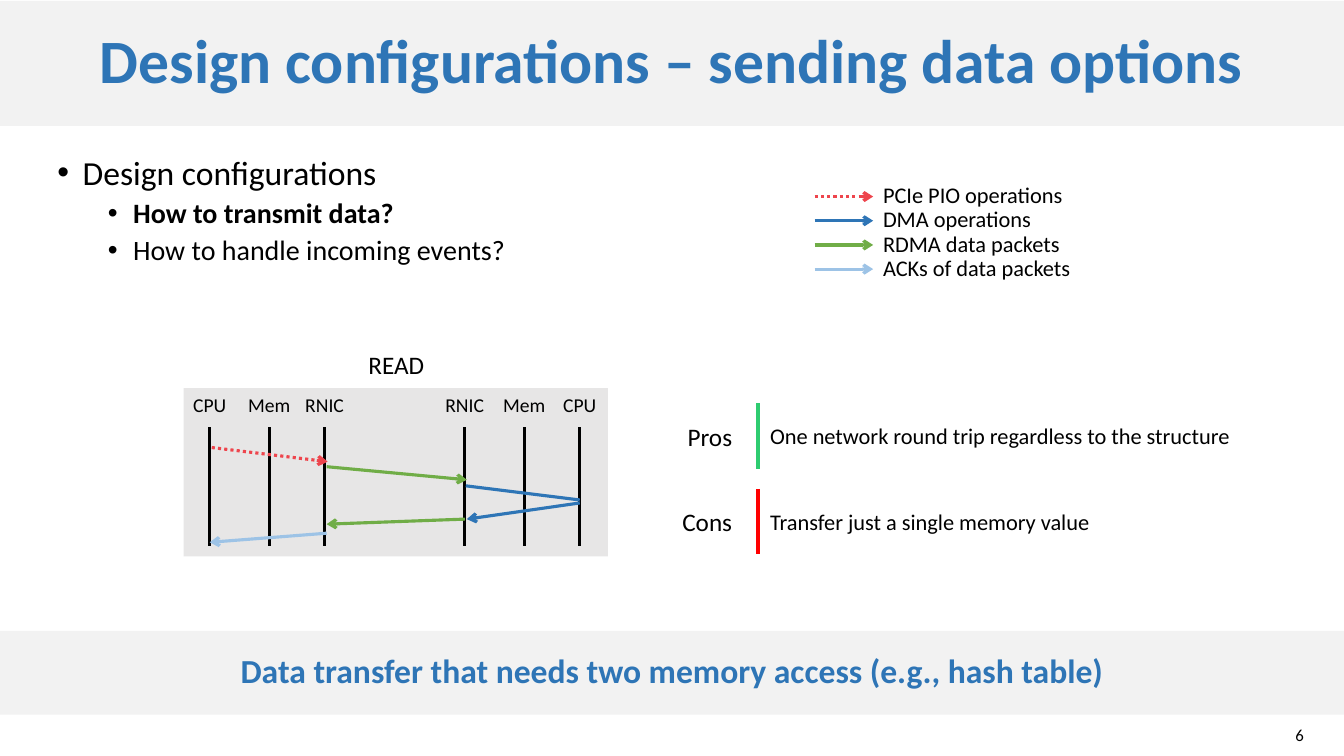
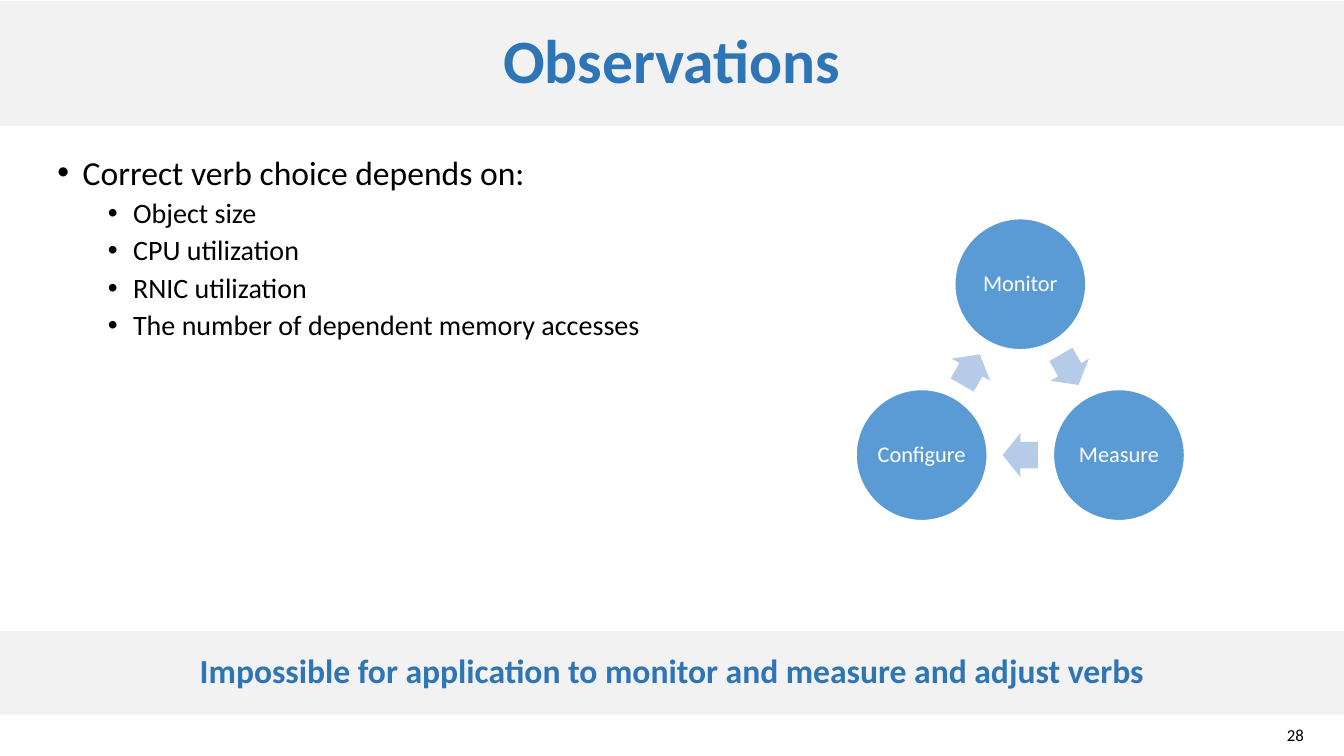
from math import cos, radians, sin

from pptx import Presentation
from pptx.dml.color import RGBColor
from pptx.enum.dml import MSO_LINE
from pptx.enum.shapes import MSO_CONNECTOR, MSO_SHAPE
from pptx.enum.text import MSO_ANCHOR, MSO_AUTO_SIZE, PP_ALIGN
from pptx.oxml import parse_xml
from pptx.oxml.ns import nsdecls
from pptx.util import Inches, Pt

FONT = "Calibri"
BLACK = RGBColor(0x00, 0x00, 0x00)
WHITE = RGBColor(0xFF, 0xFF, 0xFF)
BAND = RGBColor(0xF2, 0xF2, 0xF2)
PANEL = RGBColor(0xE7, 0xE6, 0xE6)
BLUE = RGBColor(0x2E, 0x75, 0xB6)
LIGHT_BLUE = RGBColor(0x9D, 0xC3, 0xE6)
GREEN = RGBColor(0x70, 0xAD, 0x47)
CORAL = RGBColor(0xEE, 0x45, 0x4D)
PRO_GREEN = RGBColor(0x2E, 0xCC, 0x70)
CON_RED = RGBColor(0xFF, 0x00, 0x00)
CIRCLE_BLUE = RGBColor(0x5B, 0x9B, 0xD5)
CYCLE_ARROW = RGBColor(0xB5, 0xCB, 0xE7)

SENDING = {
    "title": "Design configurations – sending data options",
    "heading": "Design configurations",
    "points": ["How to transmit data?", "How to handle incoming events?"],
    "bold_point": "How to transmit data?",
    "takeaway": "Data transfer that needs two memory access (e.g., hash table)",
    "number": "6",
}
OBSERVATIONS = {
    "title": "Observations",
    "heading": "Correct verb choice depends on:",
    "points": ["Object size", "CPU utilization", "RNIC utilization",
               "The number of dependent memory accesses"],
    "bold_point": None,
    "takeaway": "Impossible for application to monitor and measure and adjust verbs",
    "number": "28",
}

LEGEND = [("PCIe PIO operations", CORAL, True), ("DMA operations", BLUE, False),
          ("RDMA data packets", GREEN, False), ("ACKs of data packets", LIGHT_BLUE, False)]
VERDICTS = [("Pros", "One network round trip regardless to the structure", PRO_GREEN),
            ("Cons", "Transfer just a single memory value", CON_RED)]
LIFELINES = [("CPU", 2.08), ("Mem", 2.67), ("RNIC", 3.22),
             ("RNIC", 4.61), ("Mem", 5.2), ("CPU", 5.75)]
# start, end, colour, arrow, dotted
MESSAGES = [
    ((3.24, 4.63), (4.63, 4.76), GREEN, True, False),
    ((4.62, 4.82), (5.75, 4.96), BLUE, False, False),
    ((5.75, 4.99), (4.63, 5.15), BLUE, True, False),
    ((4.61, 5.15), (3.24, 5.2), GREEN, True, False),
    ((3.24, 5.29), (2.08, 5.38), LIGHT_BLUE, True, False),
    ((2.1, 4.44), (3.25, 4.58), CORAL, True, True),
]
CYCLE = ["Monitor", "Measure", "Configure"]


def place(shape, left, top, width, height):
    """Set a shape's position and size in inches."""
    shape.left, shape.top = Inches(left), Inches(top)
    shape.width, shape.height = Inches(width), Inches(height)


def style(para, size, color=BLACK, bold=False, align=PP_ALIGN.LEFT):
    """Format a paragraph and its runs."""
    para.alignment = align
    for span in para.runs:
        span.font.name, span.font.size, span.font.bold = FONT, Pt(size), bold
        span.font.color.rgb = color


def add_text(slide, text, at, size, align=PP_ALIGN.LEFT, anchor=MSO_ANCHOR.TOP):
    """Add a one-paragraph text box."""
    box = slide.shapes.add_textbox(*[Inches(length) for length in at])
    box.text_frame.word_wrap = True
    box.text_frame.vertical_anchor = anchor
    box.text_frame.text = text
    style(box.text_frame.paragraphs[0], size, align=align)


def add_line(slide, start, end, color, width=2.25, arrow=False, dotted=False):
    """Draw a straight line, with an arrowhead at its end if asked."""
    line = slide.shapes.add_connector(
        MSO_CONNECTOR.STRAIGHT, *[Inches(length) for length in start + end])
    line.line.color.rgb = color
    line.line.width = Pt(width)
    if dotted:
        line.line.dash_style = MSO_LINE.ROUND_DOT
    if arrow:
        line.line._get_or_add_ln().append(
            parse_xml(f'<a:tailEnd {nsdecls("a")} type="arrow"/>'))
    line._element.spPr.append(parse_xml(f'<a:effectLst {nsdecls("a")}/>'))


def add_solid(slide, kind, at, fill):
    """Add a filled preset shape without outline or shadow."""
    shape = slide.shapes.add_shape(kind, *[Inches(length) for length in at])
    shape.shadow.inherit = False
    shape.fill.solid()
    shape.fill.fore_color.rgb = fill
    shape.line.fill.background()
    return shape


def set_bullet(para, indent):
    """Give a paragraph a round bullet with a hanging indent."""
    properties = para._p.get_or_add_pPr()
    properties.set("marL", str(Inches(indent)))
    properties.set("indent", str(Inches(-0.25)))
    properties.append(parse_xml(f'<a:buFont {nsdecls("a")} typeface="Arial"/>'))
    properties.append(parse_xml(f'<a:buChar {nsdecls("a")} char="•"/>'))


def fill_band(placeholder, text, top, height, size):
    """Turn a placeholder into a full-width band with bold blue text."""
    place(placeholder, 0, top, 13.33, height)
    placeholder.fill.solid()
    placeholder.fill.fore_color.rgb = BAND
    frame = placeholder.text_frame
    frame.text = text
    frame.auto_size = MSO_AUTO_SIZE.NONE
    frame.vertical_anchor = MSO_ANCHOR.MIDDLE
    para = frame.paragraphs[0]
    style(para, size, BLUE, True, PP_ALIGN.CENTER)
    para.line_spacing = 0.9
    return para


def fill_list(body, heading, points, bold_point):
    """Write the heading bullet and its sub-bullets."""
    place(body, 0.47, 1.5, 12.36, 4.83)
    frame = body.text_frame
    frame.auto_size = MSO_AUTO_SIZE.NONE
    frame.vertical_anchor = MSO_ANCHOR.TOP
    frame.text = "\n".join([heading] + points)
    for index, para in enumerate(frame.paragraphs):
        para.level = min(index, 1)
        size, before, indent = (20, 5, 0.75) if index else (24, 12, 0.25)
        style(para, size, bold=para.text == bold_point)
        para.line_spacing, para.space_before = 0.9, Pt(before)
        set_bullet(para, indent)


def add_page(deck, content):
    """Add a slide with title band, list, takeaway band and page number."""
    slide = deck.slides.add_slide(deck.slide_layouts.get_by_name("Two Content"))
    title, body, takeaway = slide.placeholders
    title_para = fill_band(title, content["title"], 0.01, 1.24, 44)
    title_para.runs[0].font._element.insert(0, parse_xml(
        f'<a:ln {nsdecls("a")} w="{Pt(0.75)}"><a:solidFill>'
        f'<a:srgbClr val="{BLUE}"/></a:solidFill></a:ln>'))
    fill_list(body, content["heading"], content["points"], content["bold_point"])
    takeaway_para = fill_band(takeaway, content["takeaway"], 6.26, 0.83, 24)
    takeaway_para.space_before = Pt(10)
    takeaway_para._p.get_or_add_pPr().set("marL", "0")
    takeaway_para._p.get_or_add_pPr().set("indent", "0")
    takeaway_para._p.get_or_add_pPr().append(parse_xml(f'<a:buNone {nsdecls("a")}/>'))
    add_text(slide, content["number"], (11.96, 7.14, 1.07, 0.3), 12,
             PP_ALIGN.RIGHT, MSO_ANCHOR.MIDDLE)
    return slide


def add_legend(slide):
    """Explain the arrow colours."""
    for row, (name, color, dotted) in enumerate(LEGEND):
        y = 1.95 + 0.24 * row
        add_line(slide, (8.08, y), (8.66, y), color, arrow=True, dotted=dotted)
        add_text(slide, name, (8.66, y - 0.2, 2.5, 0.37), 16)


def add_verdicts(slide):
    """List pros and cons beside coloured bars."""
    height = 0.65
    for row, (label, statement, color) in enumerate(VERDICTS):
        top = 4 + 0.85 * row
        add_line(slide, (7.52, top), (7.52, top + height), color, 3)
        add_text(slide, label, (6.36, top, 1, height), 18, PP_ALIGN.RIGHT, MSO_ANCHOR.MIDDLE)
        add_text(slide, statement, (7.54, top, 5.2, height), 16, anchor=MSO_ANCHOR.MIDDLE)


def add_sequence(slide):
    """Draw the READ sequence diagram."""
    add_solid(slide, MSO_SHAPE.RECTANGLE, (1.82, 3.85, 4.21, 1.67), PANEL)
    add_text(slide, "READ", (3.17, 3.42, 1.52, 0.4), 18, PP_ALIGN.CENTER)
    for name, x in LIFELINES:
        add_text(slide, name, (x - 0.35, 3.85, 0.7, 0.34), 14, PP_ALIGN.CENTER)
        add_line(slide, (x, 4.24), (x, 5.42), BLACK)
    for start, end, color, arrow, dotted in MESSAGES:
        add_line(slide, start, end, color, arrow=arrow, dotted=dotted)


def add_cycle(slide):
    """Arrange the steps on a ring with an arrow between neighbours."""
    center_x, center_y, radius, diameter = 10.12, 3.95, 1.13, 1.3
    arrow_width, arrow_height = 0.35, 0.44
    step = 360 / len(CYCLE)
    for index, name in enumerate(CYCLE):
        angle = radians(index * step - 90)
        left = center_x + radius * cos(angle) - diameter / 2
        top = center_y + radius * sin(angle) - diameter / 2
        circle = add_solid(slide, MSO_SHAPE.OVAL, (left, top, diameter, diameter), CIRCLE_BLUE)
        circle.line.color.rgb = WHITE
        circle.line.width = Pt(1)
        frame = circle.text_frame
        frame.margin_left = frame.margin_right = Inches(0.02)
        frame.margin_top = frame.margin_bottom = Inches(0.02)
        frame.vertical_anchor = MSO_ANCHOR.MIDDLE
        frame.text = name
        style(frame.paragraphs[0], 16, WHITE, align=PP_ALIGN.CENTER)
        frame.paragraphs[0].line_spacing = 0.9

        between = radians((index + 0.5) * step - 90)
        middle = radius * cos(radians(step / 2))
        arrow = add_solid(slide, MSO_SHAPE.RIGHT_ARROW, (
            center_x + middle * cos(between) - arrow_width / 2,
            center_y + middle * sin(between) - arrow_height / 2,
            arrow_width, arrow_height), CYCLE_ARROW)
        arrow.adjustments[0], arrow.adjustments[1] = 0.6, 0.5
        arrow.rotation = (index + 0.5) * step


deck = Presentation()
deck.slide_width, deck.slide_height = Inches(13.33), Inches(7.5)

sending = add_page(deck, SENDING)
add_legend(sending)
add_verdicts(sending)
add_sequence(sending)

observations = add_page(deck, OBSERVATIONS)
add_cycle(observations)

deck.save("out.pptx")
